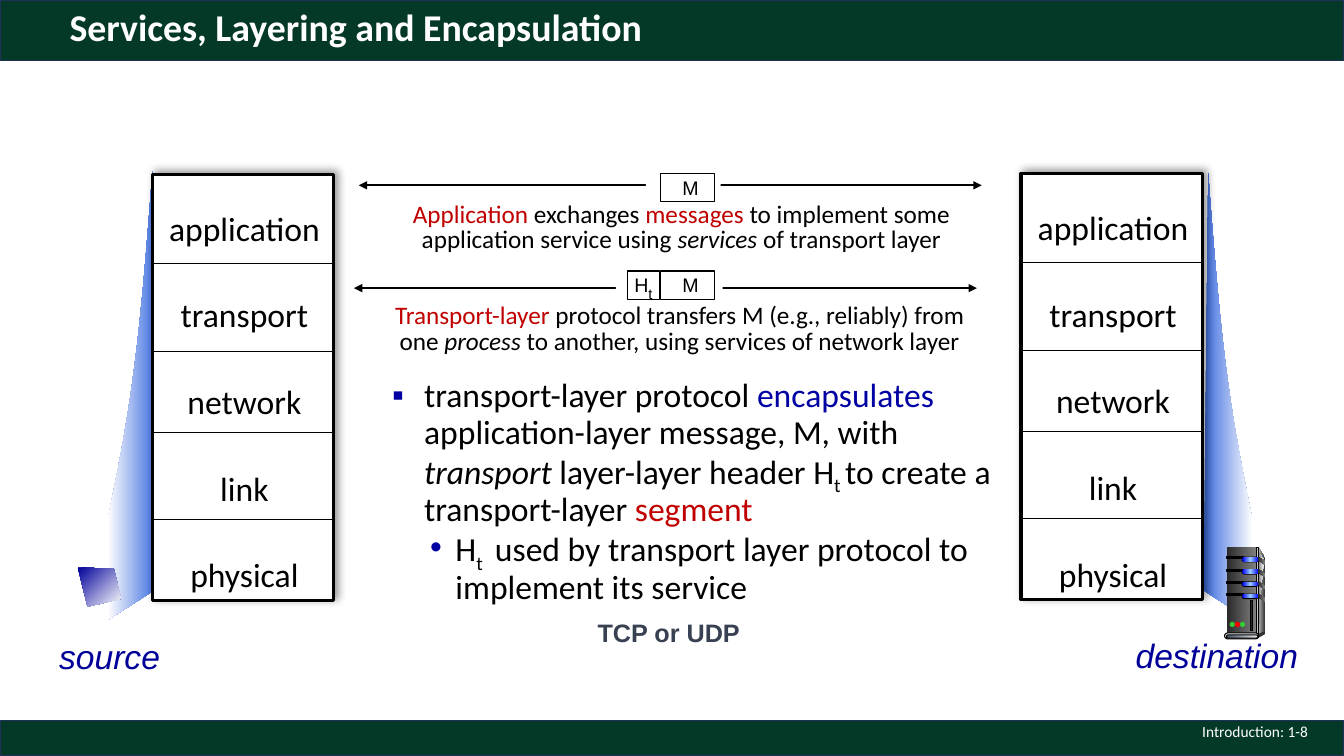
import copy
from dataclasses import dataclass, field

import pptx
import pptx.dml.color
import pptx.enum.shapes
import pptx.enum.text
import pptx.oxml
import pptx.oxml.ns
import pptx.util

Cm, Pt = pptx.util.Cm, pptx.util.Pt
RGB = pptx.dml.color.RGBColor
SHAPE = pptx.enum.shapes.MSO_SHAPE
ALIGN = pptx.enum.text.PP_ALIGN
ANCHOR = pptx.enum.text.MSO_ANCHOR
AUTO = pptx.enum.text.MSO_AUTO_SIZE
qn = pptx.oxml.ns.qn
NS = 'xmlns:a="http://schemas.openxmlformats.org/drawingml/2006/main"'

BLACK, WHITE = RGB(0, 0, 0), RGB(255, 255, 255)
GREEN, BAND_LINE = RGB(0x04, 0x39, 0x27), RGB(0x1E, 0x32, 0x56)
NAVY, BLUE, RED = RGB(0, 0, 0x99), RGB(0, 0, 0xA3), RGB(0xC0, 0, 0)
SLATE, BEAM = RGB(0x37, 0x41, 0x51), RGB(0x3C, 0x6C, 0xDF)
COAL, DARK, GREY = RGB(0x29, 0x29, 0x29), RGB(0x33, 0x33, 0x33), RGB(0x80, 0x80, 0x80)
SILVER, PALE = RGB(0xDD, 0xDD, 0xDD), RGB(0xF8, 0xF8, 0xF8)
LAMP, SKY = RGB(0, 0, 0xFF), RGB(0x99, 0xCC, 0xFF)
LED_GREEN, LED_RED = RGB(0x33, 0xCC, 0x33), RGB(0xFF, 0, 0)
BASE_DARK, BASE_LIGHT = RGB(0x44, 0x54, 0x6A), RGB(0xE7, 0xE6, 0xE6)


@dataclass
class Run:
    text: str
    color: RGB = BLACK
    italic: bool = False
    sub: bool = False
    size: float = 0


@dataclass
class Box:
    x: float
    y: float
    w: float
    h: float

    def cm(self) -> list:
        return [Cm(v) for v in (self.x, self.y, self.w, self.h)]


@dataclass
class Part:
    kind: SHAPE
    box: Box
    fill: tuple
    line: float = 0


@dataclass
class Exchange:
    arrow_x: float
    arrow_y: float
    mask: Box
    cell_y: float
    caption: Box
    words: list
    header: bool = field(default=False)


def set_all(obj, fmt: dict) -> None:
    for name, value in fmt.items():
        setattr(obj, name, value)


def paint(sp, fill: tuple, angle: float = 0, line: float = 0, line_color: RGB = BLACK) -> None:
    """Fill with one colour, or with an evenly spaced gradient of several."""
    sp.shadow.inherit = False
    if len(fill) == 1:
        sp.fill.solid()
        sp.fill.fore_color.rgb = fill[0]
    else:
        sp.fill.gradient()
        sp.fill.gradient_angle = angle
        stops = sp._element.spPr.find(".//" + qn("a:gsLst"))
        for _ in fill[2:]:
            stops.append(copy.deepcopy(stops[0]))
        for i, (stop, color) in enumerate(zip(sp.fill.gradient_stops, fill)):
            stop.position = i / (len(fill) - 1)
            stop.color.rgb = color
    if line:
        sp.line.width = Pt(line)
        sp.line.color.rgb = line_color
    else:
        sp.line.fill.background()


def add_part(s, part: Part, line_color: RGB = BLACK):
    sp = s.shapes.add_shape(part.kind, *part.box.cm())
    if part.kind == SHAPE.ROUNDED_RECTANGLE:
        sp.adjustments[0] = 0.5
    paint(sp, part.fill, 0, part.line, line_color)
    return sp


def add_outline(s, points: list, fill: tuple, angle: float = 0) -> None:
    pts = [(Cm(x), Cm(y)) for x, y in points]
    fb = s.shapes.build_freeform(*pts[0], scale=1.0)
    fb.add_line_segments(pts[1:], close=True)
    paint(fb.convert_to_shape(), fill, angle)


def bezier(ends: list, steps: int = 24) -> list:
    """Points along a cubic curve given by its four control points."""
    out = []
    for i in range(steps + 1):
        t = i / steps
        weights = ((1 - t) ** 3, 3 * t * (1 - t) ** 2, 3 * t * t * (1 - t), t ** 3)
        out.append(tuple(sum(w * p[k] for w, p in zip(weights, ends)) for k in (0, 1)))
    return out


def add_runs(p, runs: list, size: float, font: str = "Calibri", bold: bool = False) -> None:
    for run in runs:
        r = p.add_run()
        r.text = run.text
        set_all(r.font, {"name": font, "size": Pt(run.size or size),
                         "bold": bold, "italic": run.italic})
        r.font.color.rgb = run.color
        if run.sub:
            r._r.get_or_add_rPr().set("baseline", "-25000")


def add_text(s, box: Box, paras: list, size: float, font: str = "Calibri", bold: bool = False,
             frame: dict = {}, para: dict = {}):
    tf = s.shapes.add_textbox(*box.cm()).text_frame
    set_all(tf, {"word_wrap": True, "auto_size": AUTO.SHAPE_TO_FIT_TEXT, **frame})
    for i, runs in enumerate(paras):
        p = tf.add_paragraph() if i else tf.paragraphs[0]
        set_all(p, para)
        add_runs(p, runs, size, font, bold)
    return tf


def add_line(s, x1: float, x2: float, y: float, width: float, arrows: bool = False) -> None:
    cx = s.shapes.add_connector(pptx.enum.shapes.MSO_CONNECTOR.STRAIGHT,
                                Cm(x1), Cm(y), Cm(x2), Cm(y))
    cx.line.width = Pt(width)
    cx.line.color.rgb = BLACK
    if arrows:
        for end in ("headEnd", "tailEnd"):
            cx.line._ln.append(pptx.oxml.parse_xml(f'<a:{end} {NS} type="triangle"/>'))
    cx._element.spPr.append(pptx.oxml.parse_xml(f"<a:effectLst {NS}/>"))


def add_bullet(p, char: str, margin: float, indent: float) -> None:
    pPr = p._p.get_or_add_pPr()
    pPr.set("marL", str(Cm(margin)))
    pPr.set("indent", str(Cm(-indent)))
    for xml in (f'<a:buClr {NS}><a:srgbClr val="{BLUE}"/></a:buClr>',
                f'<a:buFont {NS} typeface="Arial"/>', f'<a:buChar {NS} char="{char}"/>'):
        pPr.append(pptx.oxml.parse_xml(xml))


def add_stack(s, x: float, y: float) -> None:
    """Five protocol layers in a shadowed box."""
    sp = add_part(s, Part(SHAPE.RECTANGLE, Box(x, y, 4.57, 10.74), (WHITE,), 2.25))
    sp._element.spPr.find(qn("a:effectLst")).append(pptx.oxml.parse_xml(
        f'<a:outerShdw {NS} blurRad="{Pt(6)}" dist="{Pt(3)}" dir="18900000">'
        '<a:srgbClr val="000000"><a:alpha val="40000"/></a:srgbClr></a:outerShdw>'))
    layers = ("application", "transport", "network", "link", "physical")
    add_text(s, Box(x - 0.13, y - 0.45, 4.9, 11.2), [[Run(n)] for n in layers], 24,
             para={"alignment": ALIGN.CENTER, "line_spacing": 2.15})
    for dy in (2.24, 4.47, 6.5, 8.69):
        add_line(s, x, x + 4.57, y + dy, 0.5)


def add_cell(s, x: float, y: float, w: float, runs: list, shift: float = 0) -> None:
    add_part(s, Part(SHAPE.RECTANGLE, Box(x, y, w, 0.71), (WHITE,), 0.75))
    add_text(s, Box(x + shift - 0.25, y - 0.07, w + 0.5, 0.84), [runs], 14, "Arial",
             frame={"word_wrap": False, "auto_size": AUTO.NONE, "vertical_anchor": ANCHOR.MIDDLE},
             para={"alignment": ALIGN.CENTER})


def add_exchange(s, ex: Exchange) -> None:
    add_line(s, ex.arrow_x, ex.arrow_x + 15.7, ex.arrow_y, 1.5, arrows=True)
    add_part(s, Part(SHAPE.RECTANGLE, ex.mask, (WHITE,)))
    if ex.header:
        add_cell(s, 15.82, ex.cell_y, 0.79, [Run("H"), Run("t", sub=True, size=18)])
    add_cell(s, 16.64, ex.cell_y, 1.37, [Run("M")], 0.08)
    add_text(s, ex.caption, [ex.words], 18,
             para={"alignment": ALIGN.CENTER, "line_spacing": 0.85})


def add_server(s) -> None:
    rect, pill, dot = SHAPE.RECTANGLE, SHAPE.ROUNDED_RECTANGLE, SHAPE.OVAL
    add_outline(s, [(31.72, 13.79), (31.88, 14.07), (31.88, 15.9), (31.67, 16)], (SILVER, DARK))
    add_part(s, Part(rect, Box(30.91, 13.79, 0.76, 2.21), (COAL, GREY)))
    add_outline(s, [(31.72, 13.92), (31.85, 14.1), (31.75, 15.2), (31.72, 15.93)], (GREY, PALE))
    add_part(s, Part(rect, Box(31.67, 13.79, 0.05, 2.21), (DARK, SILVER, DARK), 0.75))
    for y in (14.03 + 0.31 * i for i in range(4)):
        add_part(s, Part(rect, Box(30.91, y, 0.43, 0.05), (BLACK,), 0.75))
        add_part(s, Part(pill, Box(31.29, y, 0.43, 0.14), (BLACK,)))
        add_part(s, Part(pill, Box(31.31, y + 0.01, 0.41, 0.11), (LAMP, SKY, LAMP)))
        add_outline(s, [(31.71, y), (31.88, y + 0.11), (31.88, y + 0.2), (31.71, y + 0.09)],
                    (COAL, GREY))
    add_outline(s, [(31.7, 15.98), (31.7, 16.08), (31.88, 15.98), (31.88, 15.9)], (DARK,))
    add_part(s, Part(pill, Box(30.86, 15.95, 0.86, 0.15), (SILVER,), 0.75))
    add_part(s, Part(pill, Box(30.91, 16, 0.79, 0.08), (BASE_DARK, BASE_LIGHT), 0.75))
    for i, led in enumerate((LED_GREEN, LED_RED, LED_GREEN)):
        add_part(s, Part(dot, Box(30.99 + 0.13 * i, 15.67, 0.13, 0.13), (led,)))
    add_part(s, Part(rect, Box(31.52, 15.14, 0.05, 0.74), (COAL,), 0.75))


def main() -> None:
    prs = pptx.Presentation()
    prs.slide_width, prs.slide_height = Cm(33.87), Cm(19.05)
    s = prs.slides.add_slide(prs.slide_layouts[5])
    for y, h in ((0, 1.52), (18.16, 0.89)):
        add_part(s, Part(SHAPE.RECTANGLE, Box(0, y, 33.87, h), (GREEN,), 1), BAND_LINE)

    title = s.shapes.title
    s.shapes._spTree.append(title._element)
    set_all(title, dict(zip(("left", "top", "width", "height"), Box(1.5, 0.1, 29.21, 1.27).cm())))
    set_all(title.text_frame, {"vertical_anchor": ANCHOR.MIDDLE, "auto_size": AUTO.NONE})
    p = title.text_frame.paragraphs[0]
    set_all(p, {"alignment": ALIGN.LEFT, "line_spacing": 0.9})
    add_runs(p, [Run("Services, Layering and Encapsulation", WHITE)], 27, bold=True)

    beam = [(31.57, 15.67), (30.33, 14.88)] + bezier(
        [(30.45, 4.37), (30.78, 8.92), (30.99, 10.31), (31.57, 13.13)])
    add_outline(s, beam, (BEAM, WHITE))
    add_outline(s, [(34.29 - x, y - 0.05) for x, y in beam], (BEAM, WHITE), 180)
    add_outline(s, [(1.96, 14.3), (2.87, 14.33), (3.05, 15.09), (2.21, 15.29)], (NAVY, WHITE), 315)
    add_server(s)
    add_stack(s, 3.84, 4.39)
    add_stack(s, 25.73, 4.37)
    for name, box in (("source", Box(1.24, 15.9, 3.05, 1.27)),
                      ("destination", Box(28.37, 15.88, 4.65, 1.27))):
        add_text(s, box, [[Run(name, NAVY, italic=True)]], 24, "Arial", frame={"word_wrap": False})

    add_exchange(s, Exchange(
        9.04, 4.67, Box(16.28, 4.14, 1.88, 1.09), 4.37, Box(9.37, 4.98, 15.6, 1.57),
        [Run("Application ", RED), Run("exchanges "), Run("messages", RED),
         Run(" to implement some application service using "), Run("services", italic=True),
         Run(" of transport layer")]))
    add_exchange(s, Exchange(
        8.92, 7.26, Box(15.52, 6.58, 2.69, 1.09), 6.83, Box(9.32, 7.54, 15.62, 1.57),
        [Run("Transport-layer ", RED), Run("protocol transfers M (e.g., reliably) from one "),
         Run("process", italic=True), Run(" to another, using services of network layer")], True))

    tf = add_text(s, Box(9.63, 9.42, 16.21, 5.79), [
        [Run("transport-layer protocol "), Run("encapsulates", BLUE),
         Run(" application-layer message, M, with "), Run("transport", italic=True),
         Run(" layer-layer header H"), Run("t ", sub=True),
         Run("to create a transport-layer "), Run("segment", RED)],
        [Run("H"), Run("t ", sub=True),
         Run(" used by transport layer protocol to implement its service")]],
        24, para={"line_spacing": 0.9})
    add_bullet(tf.paragraphs[0], "▪", 0.81, 0.81)
    add_bullet(tf.paragraphs[1], "•", 1.6, 0.64)
    tf.paragraphs[1].level = 1

    add_text(s, Box(25.6, 17.91, 7.62, 1.02), [[Run("Introduction: 1-8", WHITE)]], 11,
             frame={"auto_size": AUTO.NONE, "vertical_anchor": ANCHOR.MIDDLE},
             para={"alignment": ALIGN.RIGHT})
    add_text(s, Box(14.81, 15.44, 7.65, 1.02), [[Run("TCP or UDP", SLATE)]], 18, "Arial", True)
    prs.save("out.pptx")


if __name__ == "__main__":
    main()
